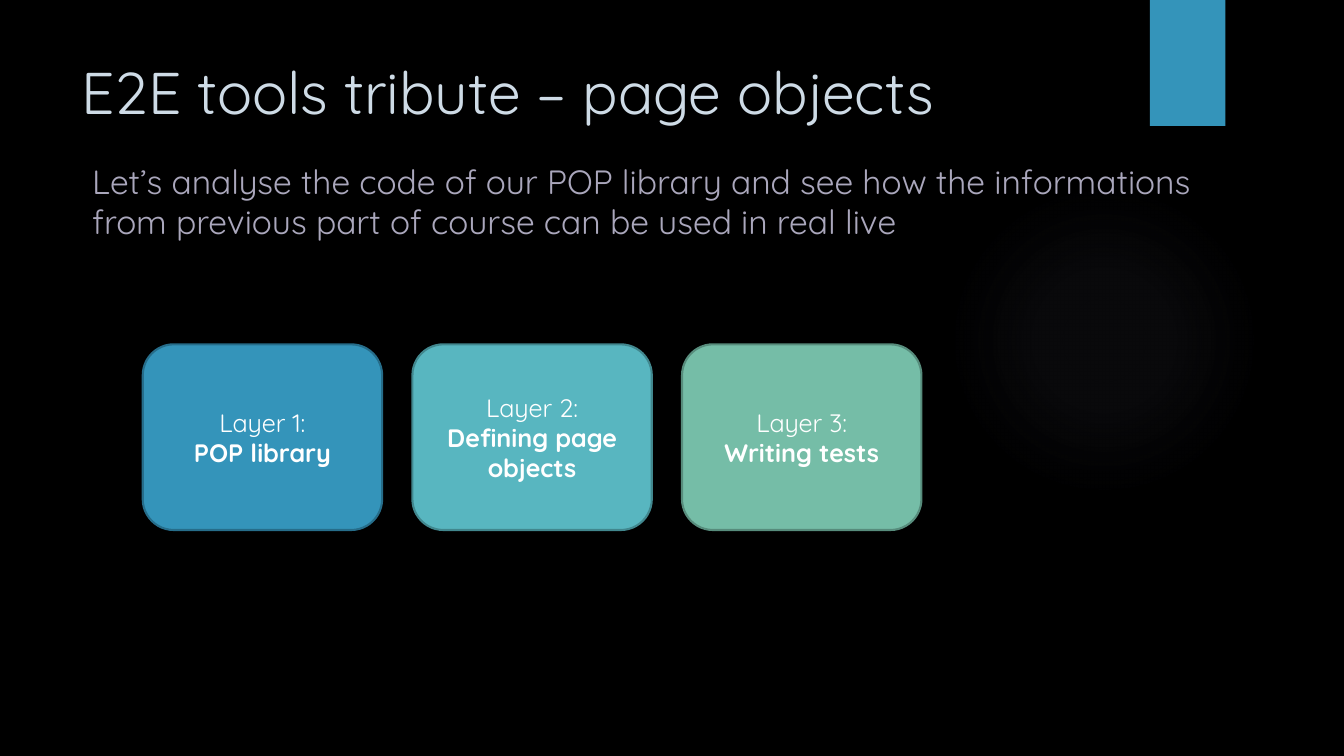
from lxml import etree
from pptx import Presentation
from pptx import util as u
from pptx.dml.color import RGBColor
from pptx.enum import shapes, text
from pptx.oxml import ns

BLACK = RGBColor(0x00, 0x00, 0x00)
WHITE = RGBColor(0xFF, 0xFF, 0xFF)
PALE_BLUE = RGBColor(0xCE, 0xDB, 0xE6)
LAVENDER = RGBColor(0xAA, 0xA7, 0xBC)
GLOW = RGBColor(0x7F, 0x7B, 0x9A)
BLUE, BLUE_EDGE = RGBColor(0x34, 0x94, 0xBA), RGBColor(0x26, 0x6D, 0x8A)
TEAL, TEAL_EDGE = RGBColor(0x58, 0xB6, 0xC0), RGBColor(0x41, 0x87, 0x8E)
GREEN, GREEN_EDGE = RGBColor(0x75, 0xBD, 0xA7), RGBColor(0x57, 0x8C, 0x7C)


class Deck:
    """Style and current slide; lengths are cells of a 16 by 9 grid."""
    FONT = "Quicksand"
    COLUMNS, ROWS = 16, 9

    def __init__(self):
        self.prs = Presentation()
        self.prs.slide_width, self.prs.slide_height = u.Inches(13.333), u.Inches(7.5)
        self.slide = self.prs.slides.add_slide(self.prs.slide_layouts[6])
        self.slide.background.fill.solid()
        self.slide.background.fill.fore_color.rgb = BLACK

    def cells(self, col, row, cols, rows):
        column = self.prs.slide_width / self.COLUMNS
        line = self.prs.slide_height / self.ROWS
        return int(col * column), int(row * line), int(cols * column), int(rows * line)

    def style(self, paragraph, size, color, bold=False):
        font = paragraph.font
        font.name, font.size, font.bold = self.FONT, u.Pt(size), bold
        font.color.rgb = color

    def block(self, preset, area, fill, edge=None):
        shape = self.slide.shapes.add_shape(preset, *self.cells(*area))
        shape.shadow.inherit = False
        shape.fill.solid()
        shape.fill.fore_color.rgb = fill
        if edge is None:
            shape.line.fill.background()
        else:
            shape.line.color.rgb = edge
            shape.line.width = u.Pt(1.5)
        return shape

    def glow(self, area, color, stops):
        shape = self.block(shapes.MSO_SHAPE.OVAL, area, color)
        solid = shape.fill._xPr.find(ns.qn("a:solidFill"))
        gradient = etree.Element(ns.qn("a:gradFill"), rotWithShape="1")
        stop_list = etree.SubElement(gradient, ns.qn("a:gsLst"))
        for position, opacity in stops:
            stop = etree.SubElement(stop_list, ns.qn("a:gs"), pos=str(position * 1000))
            tint = etree.SubElement(stop, ns.qn("a:srgbClr"), val=str(color))
            etree.SubElement(tint, ns.qn("a:alpha"), val=str(opacity * 1000))
        circle = etree.SubElement(gradient, ns.qn("a:path"), path="circle")
        etree.SubElement(circle, ns.qn("a:fillToRect"),
                         dict.fromkeys("ltrb", "50000"))
        solid.getparent().replace(solid, gradient)

    def words(self, area, content, size, color, anchor, before=0):
        frame = self.slide.shapes.add_textbox(*self.cells(*area)).text_frame
        frame.word_wrap = True
        frame.vertical_anchor = anchor
        paragraph = frame.paragraphs[0]
        paragraph.text = content
        paragraph.space_before = u.Pt(before)
        self.style(paragraph, size, color)

    def card(self, area, fill, edge, label, name):
        shape = self.block(shapes.MSO_SHAPE.ROUNDED_RECTANGLE, area, fill, edge)
        frame = shape.text_frame
        frame.word_wrap = True
        frame.vertical_anchor = text.MSO_ANCHOR.MIDDLE
        frame.text = f"{label}\n{name}"
        for paragraph, bold in zip(frame.paragraphs, (False, True)):
            paragraph.alignment = text.PP_ALIGN.CENTER
            self.style(paragraph, 18, WHITE, bold)


def main():
    deck = Deck()

    # Backdrop: soft glow and corner tab
    deck.glow((11.29, 2.2, 3.7, 3.7), GLOW, [(0, 7), (36, 6), (69, 0)])
    deck.block(shapes.MSO_SHAPE.RECTANGLE, (13.69, 0, 0.9, 1.5), BLUE)

    # Title and introduction
    deck.words((0.85, 0.6, 12.96, 0.97), "E2E tools tribute – page objects",
               42, PALE_BLUE, text.MSO_ANCHOR.MIDDLE)
    deck.words((0.98, 1.78, 13.57, 1.15),
               "Let’s analyse the code of our POP library and see how the "
               "informations from previous part of course can be used in real live",
               24, LAVENDER, text.MSO_ANCHOR.BOTTOM, before=10)

    # Layers, evenly spaced from left to right
    layers = [("POP library", BLUE, BLUE_EDGE),
              ("Defining page objects", TEAL, TEAL_EDGE),
              ("Writing tests", GREEN, GREEN_EDGE)]
    for index, (name, fill, edge) in enumerate(layers):
        deck.card((1.7 + 3.21 * index, 4.1, 2.85, 2.21), fill, edge,
                  f"Layer {index + 1}:", name)

    deck.prs.save("out.pptx")


if __name__ == "__main__":
    main()
